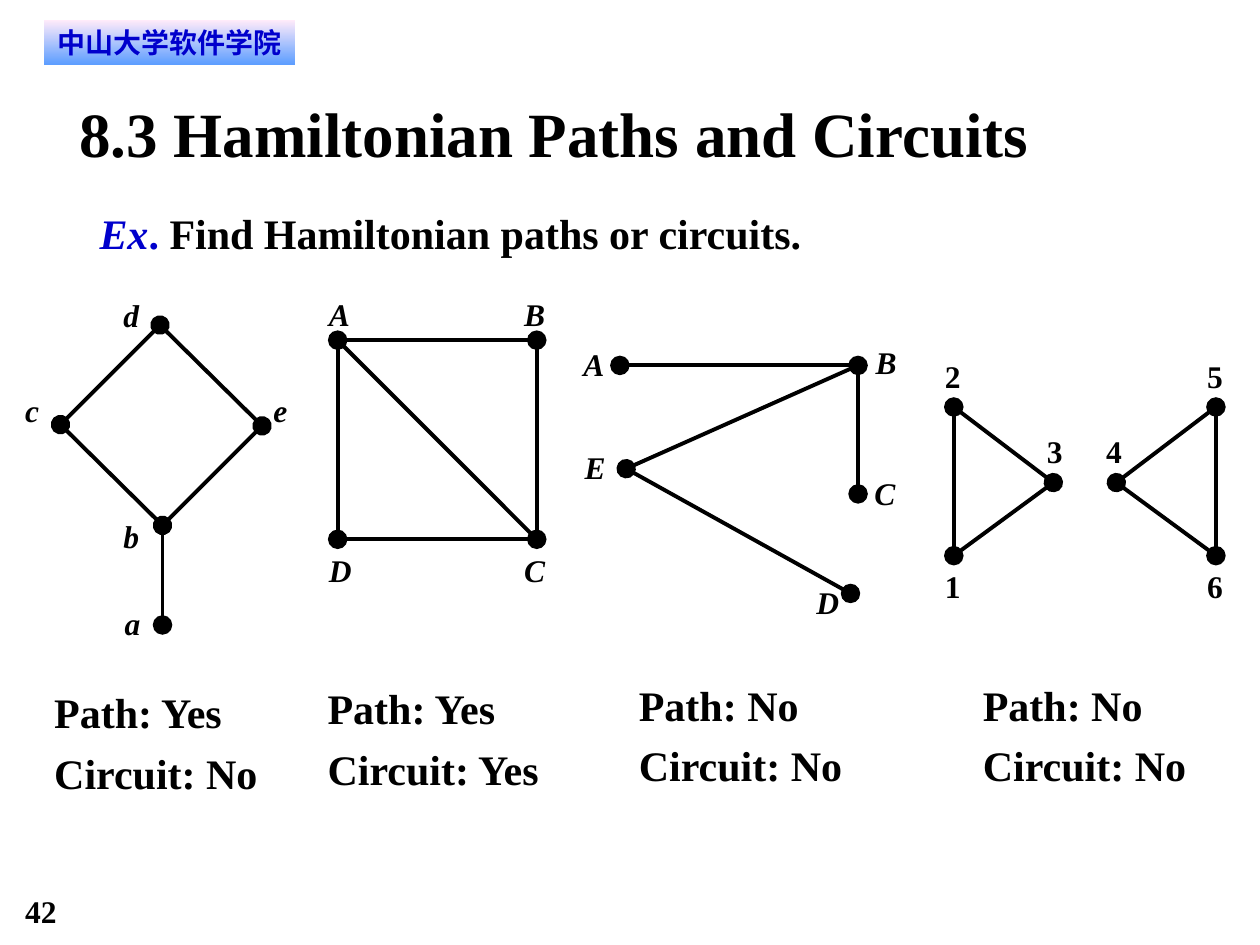
from lxml.etree import SubElement
from pptx import Presentation
from pptx.dml.color import RGBColor
from pptx.enum.shapes import MSO_CONNECTOR, MSO_SHAPE
from pptx.enum.text import MSO_ANCHOR, PP_ALIGN
from pptx.oxml.ns import qn
from pptx.util import Inches, Pt

COLORS = {
    "black": "000000",
    "blue": "0000CC",
    "badge_top": "FFEBFA",
    "badge_bottom": "5E9EFF",
}
FONT = "Times New Roman"
BADGE_FONT = "DejaVu Sans"
LABEL_W, LABEL_H = 0.17, 0.3

DIAMOND = {
    "box": (0.2, 2.35),
    "nodes": {"a": (1.09, 2.61), "b": (1.09, 1.82), "c": (0.28, 1.02),
              "d": (1.07, 0.23), "e": (1.88, 1.03)},
    "edges": ["dc", "eb", "ba", "bc", "ed"],
    "labels": {"a": (0.79, 2.44), "b": (0.78, 1.75), "c": (0, 0.75),
               "d": (0.78, 0), "e": (1.97, 0.75)},
    "italic": True,
}
SQUARE = {
    "box": (2.61, 2.34),
    "nodes": {"A": (0.07, 0.36), "B": (1.65, 0.36), "C": (1.65, 1.94), "D": (0.07, 1.94)},
    "edges": ["AB", "DC", "AD", "CB", "CA"],
    "labels": {"A": (0, 0), "B": (1.55, 0), "C": (1.55, 2.03), "D": (0, 2.03)},
    "italic": True,
}
BRANCHES = {
    "box": (4.63, 2.72),
    "nodes": {"A": (0.29, 0.18), "B": (2.18, 0.18), "C": (2.18, 1.2),
              "D": (2.12, 1.99), "E": (0.34, 1)},
    "edges": ["AB", "BC", "EB", "ED"],
    "labels": {"A": (0, 0.02), "B": (2.32, 0), "C": (2.31, 1.04),
               "D": (1.85, 1.91), "E": (0.01, 0.84)},
    "italic": True,
}
TRIANGLES = {
    "box": (7.5, 2.83),
    "nodes": {"1": (0.07, 1.58), "2": (0.07, 0.4), "3": (0.86, 1),
              "4": (1.36, 1), "5": (2.15, 0.4), "6": (2.15, 1.58)},
    "edges": ["21", "13", "23", "56", "45", "46"],
    "labels": {"1": (0, 1.67), "2": (0, 0), "3": (0.81, 0.6),
               "4": (1.28, 0.6), "5": (2.08, 0), "6": (2.08, 1.67)},
    "italic": False,
}
VERDICTS = [
    ((0.43, 5.37), "Yes", "No"),
    ((2.6, 5.34), "Yes", "Yes"),
    ((5.07, 5.31), "No", "No"),
    ((7.8, 5.31), "No", "No"),
]


def rgb(name):
    return RGBColor.from_string(COLORS[name])


def set_font(p, size, color="black", italic=False, name=FONT):
    f = p.font
    f.name, f.size, f.bold, f.italic = name, Pt(size), True, italic
    f.color.rgb = rgb(color)


def clear_margins(tf, wrap=True):
    tf.margin_left = tf.margin_right = tf.margin_top = tf.margin_bottom = 0
    tf.vertical_anchor = MSO_ANCHOR.TOP
    tf.word_wrap = wrap


def add_text(shapes, box, lines, size, italic=False, spacing=None, wrap=True):
    tf = shapes.add_textbox(*map(Inches, box)).text_frame
    clear_margins(tf, wrap)
    for i, line in enumerate(lines):
        p = tf.paragraphs[0] if i == 0 else tf.add_paragraph()
        p.text = line
        if spacing:
            p.line_spacing = spacing
        set_font(p, size, italic=italic)
    return tf


def add_title(s, box):
    sp = s.shapes.title
    sp.left, sp.top, sp.width, sp.height = map(Inches, box)
    tf = sp.text_frame
    clear_margins(tf)
    p = tf.paragraphs[0]
    p.text = "8.3 Hamiltonian Paths and Circuits"
    p.alignment = PP_ALIGN.LEFT
    set_font(p, 36)


def add_badge(s, box):
    sp = s.shapes.add_shape(MSO_SHAPE.RECTANGLE, *map(Inches, box))
    sp.shadow.inherit = False
    sp.line.fill.background()
    sp.fill.gradient()
    sp.fill.gradient_angle = 270
    for stop, name in zip(sp.fill.gradient_stops, ("badge_top", "badge_bottom")):
        stop.color.rgb = rgb(name)
    tf = sp.text_frame
    tf.margin_left = tf.margin_right = Inches(0.08)
    tf.margin_top = tf.margin_bottom = Inches(0.04)
    tf.word_wrap = True
    p = tf.paragraphs[0]
    p.text = "中山大学软件学院"
    p.alignment = PP_ALIGN.CENTER
    set_font(p, 16, "blue", name=BADGE_FONT)


def add_exercise(s, box):
    tf = add_text(s.shapes, box, [""], 24, spacing=1.2)
    p = tf.paragraphs[0]
    for text, color, italic in (("Ex", "blue", True), (". ", "blue", False),
                                ("Find Hamiltonian paths or circuits.", "black", False)):
        r = p.add_run()
        r.text = text
        r.font.italic = italic
        r.font.color.rgb = rgb(color)


def add_edge(shapes, start, end, start_dot, end_dot):
    c = shapes.add_connector(MSO_CONNECTOR.STRAIGHT, *map(Inches, start + end))
    c.line.color.rgb = rgb("black")
    c.line.width = Pt(2.25)
    ln = c.line._get_or_add_ln()
    for tag, dot in (("a:headEnd", start_dot), ("a:tailEnd", end_dot)):
        if dot:
            SubElement(ln, qn(tag), type="oval", w="lg", len="lg")
    SubElement(c._element.spPr, qn("a:effectLst"))


def add_graph(s, graph):
    left, top = graph["box"]
    shapes = s.shapes.add_group_shape().shapes
    nodes = {k: (left + x, top + y) for k, (x, y) in graph["nodes"].items()}
    dotted = set()
    for a, b in graph["edges"]:
        add_edge(shapes, nodes[a], nodes[b], a not in dotted, b not in dotted)
        dotted |= {a, b}
    width = LABEL_W if graph["italic"] and "A" in nodes else 0.13
    for text, (x, y) in graph["labels"].items():
        add_text(shapes, (left + x, top + y, width, LABEL_H), [text], 18,
                 italic=graph["italic"], wrap=False)


def add_verdict(s, box, path, circuit):
    add_text(s.shapes, (*box, 1.75, 1.44), [f"Path: {path}", f"Circuit: {circuit}"],
             24, spacing=1.2)


def main():
    prs = Presentation()
    prs.slide_width, prs.slide_height = Inches(10), Inches(7.5)
    s = prs.slides.add_slide(prs.slide_layouts[5])
    add_text(s.shapes, (0.2, 7.08, 0.75, 0.3), ["42"], 18)
    add_badge(s, (0.35, 0.16, 1.99, 0.35))
    add_exercise(s, (0.79, 1.57, 7.73, 0.48))
    add_title(s, (0.63, 0.75, 8.75, 0.6))
    for graph in (DIAMOND, SQUARE, BRANCHES, TRIANGLES):
        add_graph(s, graph)
    for verdict in VERDICTS:
        add_verdict(s, *verdict)
    prs.save("out.pptx")


if __name__ == "__main__":
    main()
